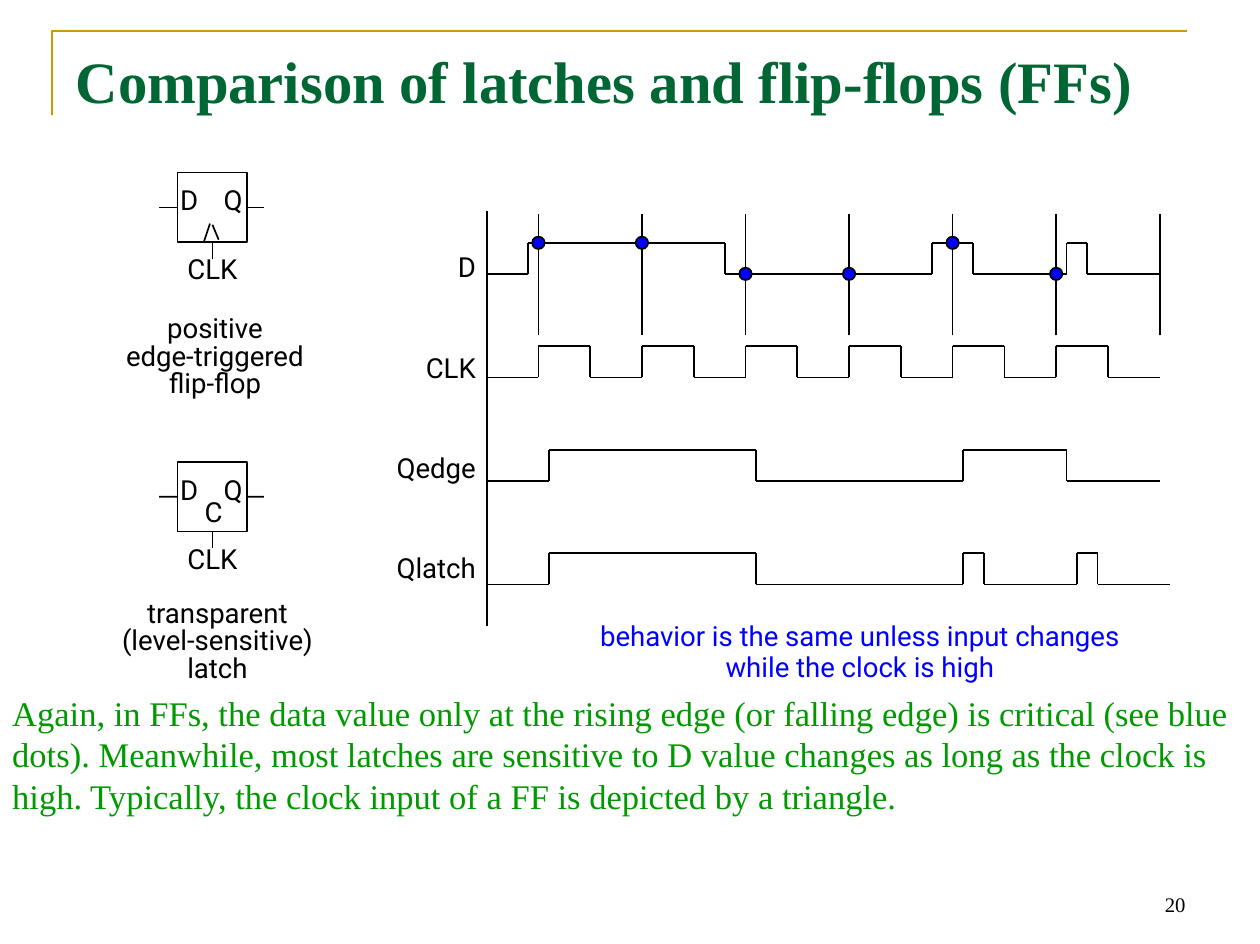
import pptx
import pptx.util
import pptx.dml.color
import pptx.enum.shapes
import pptx.enum.text
import pptx.oxml.ns
import lxml.etree

COLORS = {"ink": "000000", "paper": "FFFFFF", "frame": "CC9900",
          "title": "006633", "note": "009900", "blue": "0000FF"}
SANS, SERIF = "Roboto", "Times New Roman"
ALIGN = pptx.enum.text.PP_ALIGN
ANCHOR = pptx.enum.text.MSO_ANCHOR
SHAPE = pptx.enum.shapes.MSO_SHAPE

# Grid: twelve columns and twelve rows to the inch
WIDTH, HEIGHT = 121.68, 91.2
AXIS = 47           # column where the timing diagram starts
LOW_ROW = 26.46     # low level of the first waveform
PITCH, SWING = 10, 3
PERIOD, FIRST_EDGE = 10, 5
SIDE = 6.72         # side of a symbol's square


def grid(count):
    return pptx.util.Inches(count / 12)


def color(name):
    return pptx.dml.color.RGBColor.from_string(COLORS[name])


class TimingSlide:
    def __init__(self, deck):
        self.page = deck.slides.add_slide(deck.slide_layouts[5])
        self.shapes = self.page.shapes

    def fill_text(self, box, paras, size=16, font=SANS, ink="ink", align=ALIGN.CENTER,
                  anchor=ANCHOR.TOP, inset=(0.02, 0.03), spacing=None, gap=0, bold=False, tab=None):
        """Fill a box; each paragraph is a list of lines."""
        frame = box.text_frame
        frame.word_wrap = True
        frame.auto_size = pptx.enum.text.MSO_AUTO_SIZE.NONE
        frame.vertical_anchor = anchor
        frame.margin_left = frame.margin_right = pptx.util.Inches(inset[0])
        frame.margin_top = frame.margin_bottom = pptx.util.Inches(inset[1])
        for number, lines in enumerate(paras):
            para = frame.add_paragraph() if number else frame.paragraphs[0]
            para.alignment = align
            para.space_before = pptx.util.Pt(gap if number else 0)
            if spacing:
                para.line_spacing = pptx.util.Pt(spacing)
            if tab:
                stops = lxml.etree.SubElement(para._p.get_or_add_pPr(), pptx.oxml.ns.qn("a:tabLst"))
                lxml.etree.SubElement(stops, pptx.oxml.ns.qn("a:tab"), pos=str(grid(tab)), algn="l")
            for index, line in enumerate(lines):
                if index:
                    para.add_line_break()
                span = para.add_run()
                span.text = line
                span.font.name, span.font.size = font, pptx.util.Pt(size)
                span.font.bold = bold
                span.font.color.rgb = color(ink)

    def title(self, place, text):
        box = self.shapes.title
        box.left, box.top, box.width, box.height = map(grid, place)
        self.fill_text(box, [[text]], 34, SERIF, "title", ALIGN.LEFT, inset=(0.1, 0.05), bold=True)

    def text(self, place, paras, fill=None, **style):
        box = self.shapes.add_textbox(*map(grid, place))
        if fill:
            box.fill.solid()
            box.fill.fore_color.rgb = color(fill)
        self.fill_text(box, paras, **style)

    def shape(self, kind, place, fill):
        shape = self.shapes.add_shape(kind, *map(grid, place))
        shape.shadow.inherit = False
        shape.fill.solid()
        shape.fill.fore_color.rgb = color(fill)
        shape.line.color.rgb = color("ink")
        shape.line.width = pptx.util.Pt(1)
        return shape

    def line(self, start, end, joined=None, site=0):
        line = self.shapes.add_connector(pptx.enum.shapes.MSO_CONNECTOR.STRAIGHT,
                                         *map(grid, (*start, *end)))
        line.line.color.rgb = color("ink")
        line.line.width = pptx.util.Pt(1)
        lxml.etree.SubElement(line._element.spPr, pptx.oxml.ns.qn("a:effectLst"))
        if joined is not None:
            line.begin_connect(joined, site)

    def corner(self, points):
        first, *rest = [tuple(map(grid, point)) for point in points]
        builder = self.shapes.build_freeform(*first)
        builder.add_line_segments(rest, close=False)
        shape = builder.convert_to_shape()
        shape.shadow.inherit = False
        shape.fill.background()
        shape.line.color.rgb = color("frame")
        shape.line.width = pptx.util.Pt(1.5)

    def symbol(self, left, top, name_place, name):
        """Square with D, Q and clock pins, and its name below."""
        square = self.shape(SHAPE.RECTANGLE, (left, top, SIDE, SIDE), "paper")
        middle, center = top + SIDE / 2, left + SIDE / 2
        right, bottom = left + SIDE, top + SIDE
        for site, start, end in ((1, (left, middle), (left - 1.8, middle)),
                                 (3, (right, middle), (right + 1.6, middle)),
                                 (2, (center, bottom), (center, bottom + 1.6))):
            self.line(start, end, square, site)
        self.text((left, top + 1.56, 7, 3.96), [["D\tQ"]], align=ALIGN.LEFT, spacing=13.9, tab=4.2)
        self.text((left - 1.8, top + 8.2, 10.32, 4.32), [["CLK"]], spacing=13.9)
        self.text((*name_place, 22.8, 9.96), [name], spacing=16)

    def wave(self, low, toggles, end):
        """Square wave that starts low and flips at each toggle column."""
        column, row = AXIS, low
        for number, toggle in enumerate(toggles):
            flip = AXIS + toggle
            level = low if number % 2 else low - SWING
            self.line((column, row), (flip, row))
            self.line((flip, row), (flip, level))
            column, row = flip, level
        self.line((column, row), (AXIS + end, row))


def main():
    deck = pptx.Presentation()
    deck.slide_width, deck.slide_height = grid(WIDTH), grid(HEIGHT)
    sheet = TimingSlide(deck)

    # Frame, title and page number
    sheet.corner([(5.04, 11.16), (5.04, 3), (114.6, 3)])
    sheet.title((6.12, 3.72, 109.44, 15.12), "Comparison of latches and flip-flops (FFs)")
    sheet.text((87.24, 83.04, 28.44, 6.12), [["20"]], size=12, font=SERIF, align=ALIGN.RIGHT,
               anchor=ANCHOR.BOTTOM, inset=(0.1, 0.05))

    # Flip-flop with its clock triangle, and latch
    left, flop_top, latch_top = 17.16, 16.68, 44.64
    sheet.symbol(left, flop_top, (9.36, 30.24), ["positive", "edge-triggered", "flip-flop"])
    for start, end in (((2.52, 6.72), (3.12, 4.92)), ((3.36, 5.04), (3.96, 6.48))):
        sheet.line((left + start[0], flop_top + start[1]), (left + end[0], flop_top + end[1]))
    sheet.symbol(left, latch_top, (9.6, 57.72), ["transparent", "(level-sensitive)", "latch"])
    sheet.text((left + 0.12, latch_top + 3.72, SIDE, 3.96), [["C"]], spacing=13.9)

    # Axis and clock edges
    sheet.line((AXIS, 60.48), (AXIS, 20.4))
    for number in range(7):
        column = AXIS + FIRST_EDGE + number * PERIOD
        sheet.line((column, 32.4), (column, 20.64))

    # Waveforms: toggle columns and end column
    waves = {"D": ([4, 23, 43, 47, 56, 58], 65),
             "CLK": (range(FIRST_EDGE, 65, PERIOD // 2), 65),
             "Qedge": ([6, 26, 46, 56], 65),
             "Qlatch": ([6, 26, 46, 48, 57, 59], 66)}
    sheet.text((34.2, 22.2, 12, 35.52), [[name] for name in waves],
               align=ALIGN.RIGHT, spacing=29, gap=29)
    for number, (toggles, end) in enumerate(waves.values()):
        sheet.wave(LOW_ROW + number * PITCH, toggles, end)

    # Captions
    sheet.text((48.96, 59.64, 68.16, 7.68),
               [["behavior is the same unless input changes"], ["while the clock is high"]],
               ink="blue", spacing=18)
    sheet.text((0, 66.24, WIDTH, 13.2),
               [["Again, in FFs, the data value only at the rising edge (or falling edge) is critical "
                 "(see blue dots). Meanwhile, most latches are sensitive to D value changes as long as "
                 "the clock is high. Typically, the clock input of a FF is depicted by a triangle."]],
               fill="paper", size=20, font=SERIF, ink="note", align=ALIGN.LEFT, inset=(0.1, 0.05))

    # Dots where a rising clock edge samples D
    dot = 1.2
    for edge in range(FIRST_EDGE, 65, PERIOD):
        high = sum(toggle <= edge for toggle in waves["D"][0]) % 2
        row = LOW_ROW - SWING * high
        sheet.shape(SHAPE.OVAL, (AXIS + edge - dot / 2, row - dot / 2, dot, dot), "blue")

    deck.save("out.pptx")


if __name__ == "__main__":
    main()
